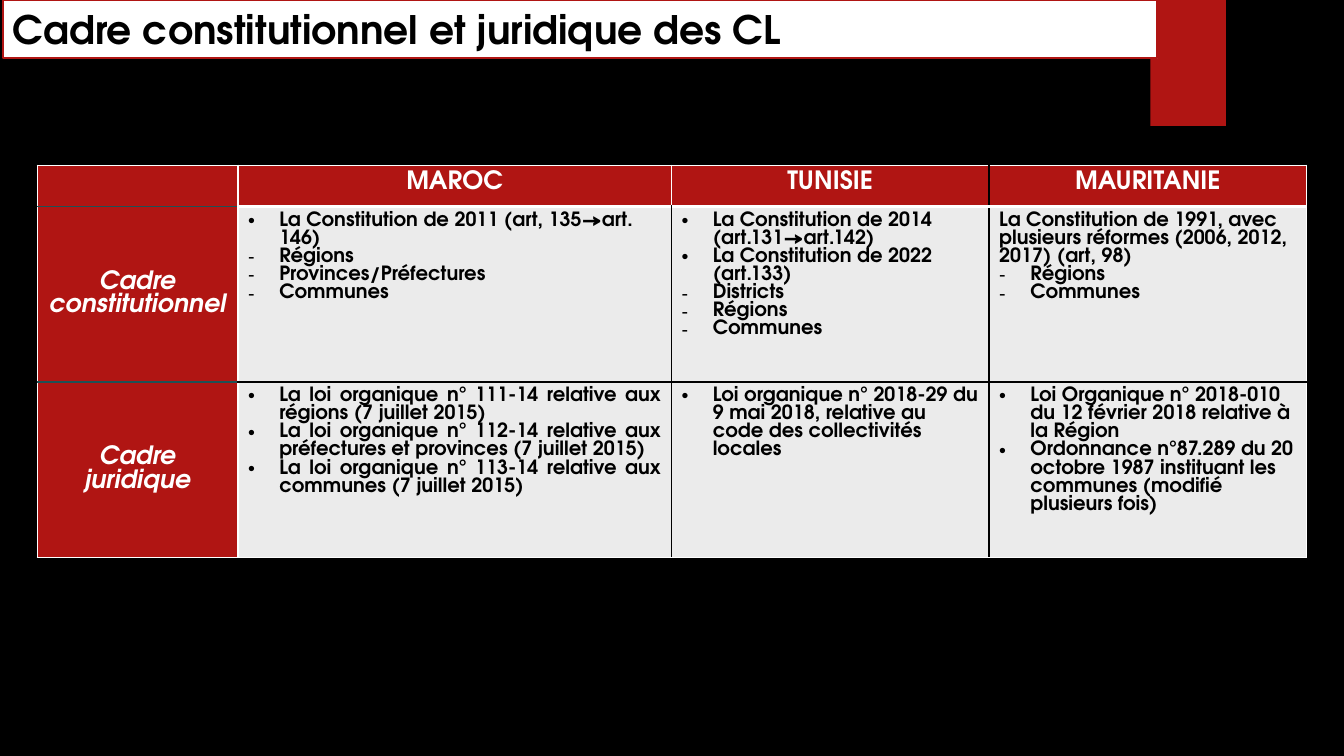
import dataclasses
import typing

import lxml.etree
import pptx
import pptx.dml.color
import pptx.enum.shapes
import pptx.enum.text
import pptx.oxml.ns
import pptx.util

Inches = pptx.util.Inches
Pt = pptx.util.Pt
RGBColor = pptx.dml.color.RGBColor
Align = pptx.enum.text.PP_ALIGN
Anchor = pptx.enum.text.MSO_ANCHOR
qn = pptx.oxml.ns.qn

BLACK = RGBColor(0x00, 0x00, 0x00)
WHITE = RGBColor(0xFF, 0xFF, 0xFF)
RED = RGBColor(0xB0, 0x15, 0x13)
GREY = RGBColor(0xEB, 0xEB, 0xEB)
TEAL = RGBColor(0x1E, 0x51, 0x55)

FONT = "TeX Gyre Adventor"
COLUMN_WIDTHS = (1.99, 4.3, 3.15, 3.15)
ROW_HEIGHTS = (0.41, 1.74, 1.74)


@dataclasses.dataclass(frozen=True)
class Item:
    text: str
    bullet: str = ""
    align: Align | None = None


@dataclasses.dataclass(frozen=True)
class Style:
    fill: RGBColor
    color: RGBColor
    size: float
    italic: bool = False
    anchor: Anchor = Anchor.TOP


@dataclasses.dataclass(frozen=True)
class Edge:
    color: RGBColor
    width: float = 1


class Edges(typing.NamedTuple):
    left: Edge
    right: Edge
    top: Edge
    bottom: Edge


HEADER = Style(RED, WHITE, 18)
ROW_LABEL = Style(RED, WHITE, 18, italic=True, anchor=Anchor.MIDDLE)
BODY = Style(GREY, BLACK, 14)

WHITE_EDGE = Edge(WHITE)
BLACK_EDGE = Edge(BLACK)
TEAL_EDGE = Edge(TEAL)
HEADER_EDGE = Edge(WHITE, 3)


def centred(text: str) -> list[Item]:
    return [Item(text, align=Align.CENTER)]


def dots(*texts: str, align: Align | None = None) -> list[Item]:
    return [Item(text, "•", align) for text in texts]


def dashes(*texts: str) -> list[Item]:
    return [Item(text, "-") for text in texts]


ROWS: list[list[list[Item]]] = [
    [[], centred("MAROC"), centred("TUNISIE"), centred("MAURITANIE")],
    [
        centred("Cadre constitutionnel"),
        dots("La Constitution de 2011 (art, 135→art. 146)")
        + dashes("Régions", "Provinces/Préfectures", "Communes"),
        dots("La Constitution de 2014 (art.131→art.142)",
             "La Constitution de 2022 (art.133)")
        + dashes("Districts", "Régions", "Communes"),
        [Item("La Constitution de 1991, avec plusieurs réformes (2006, 2012, 2017) (art, 98)")]
        + dashes("Régions", "Communes"),
    ],
    [
        centred("Cadre juridique"),
        dots("La loi organique n° 111-14 relative aux régions (7 juillet 2015)",
             "La loi organique n° 112-14 relative aux préfectures et provinces (7 juillet 2015)",
             "La loi organique n° 113-14 relative aux communes (7 juillet 2015)",
             align=Align.JUSTIFY),
        dots("Loi organique n° 2018-29 du 9 mai 2018, relative au code des collectivités locales"),
        dots("Loi Organique n° 2018-010 du 12 février 2018 relative à la Région",
             "Ordonnance n°87.289 du 20 octobre 1987 instituant les communes (modifié plusieurs fois)"),
    ],
]


def add_span(para, text: str, size: float, color: RGBColor, italic: bool = False) -> None:
    span = para.add_run()
    span.text = text
    span.font.name = FONT
    span.font.size = Pt(size)
    span.font.bold = True
    span.font.italic = italic
    span.font.color.rgb = color


def add_bullet(para, mark: str) -> None:
    properties = para._p.get_or_add_pPr()
    properties.set("marL", str(Inches(0.31)))
    properties.set("indent", str(-Inches(0.31)))
    lxml.etree.SubElement(properties, qn("a:buFont"), typeface="Arial")
    lxml.etree.SubElement(properties, qn("a:buChar"), char=mark)


def cell_style(row: int, column: int) -> Style:
    if row == 0:
        return HEADER
    return ROW_LABEL if column == 0 else BODY


def cell_edges(row: int, column: int) -> Edges:
    """Neighbouring cells share an edge; only the header draws its lower one thick."""
    def upright(position: int) -> Edge:
        outer = position in (0, 1, len(COLUMN_WIDTHS))
        return WHITE_EDGE if outer or (row == 0 and position == 2) else BLACK_EDGE

    def level(position: int) -> Edge:
        if position in (0, len(ROW_HEIGHTS)):
            return WHITE_EDGE
        if column == 0:
            return TEAL_EDGE
        if position == 1:
            return HEADER_EDGE if row == 0 else WHITE_EDGE
        return BLACK_EDGE

    return Edges(upright(column), upright(column + 1), level(row), level(row + 1))


def draw_edges(cell, edges: Edges) -> None:
    properties = cell._tc.get_or_add_tcPr()
    for place, (tag, edge) in enumerate(zip(("a:lnL", "a:lnR", "a:lnT", "a:lnB"), edges)):
        line = lxml.etree.Element(qn(tag), w=str(Pt(edge.width)))
        fill = lxml.etree.SubElement(line, qn("a:solidFill"))
        lxml.etree.SubElement(fill, qn("a:srgbClr"), val=str(edge.color))
        properties.insert(place, line)


def fill_cell(cell, items: list[Item], style: Style) -> None:
    cell.fill.solid()
    cell.fill.fore_color.rgb = style.fill
    cell.vertical_anchor = style.anchor
    frame = cell.text_frame
    for index, item in enumerate(items):
        para = frame.add_paragraph() if index else frame.paragraphs[0]
        if item.align is not None:
            para.alignment = item.align
        if item.bullet:
            add_bullet(para, item.bullet)
        add_span(para, item.text, style.size, style.color, style.italic)


def add_comparison(page) -> None:
    table = page.shapes.add_table(
        len(ROW_HEIGHTS), len(COLUMN_WIDTHS), Inches(0.37), Inches(1.64),
        Inches(sum(COLUMN_WIDTHS)), Inches(sum(ROW_HEIGHTS))).table
    for column, width in zip(table.columns, COLUMN_WIDTHS):
        column.width = Inches(width)
    for row, height in zip(table.rows, ROW_HEIGHTS):
        row.height = Inches(height)
    for row, contents in enumerate(ROWS):
        for column, items in enumerate(contents):
            cell = table.cell(row, column)
            fill_cell(cell, items, cell_style(row, column))
            draw_edges(cell, cell_edges(row, column))


def add_block(page, left: float, top: float, width: float, height: float, fill: RGBColor):
    block = page.shapes.add_shape(
        pptx.enum.shapes.MSO_SHAPE.RECTANGLE,
        Inches(left), Inches(top), Inches(width), Inches(height))
    block.shadow.inherit = False
    block.fill.solid()
    block.fill.fore_color.rgb = fill
    block.line.fill.background()
    return block


def add_title(page, text: str) -> None:
    box = add_block(page, 0.03, 0, 11.45, 0.58, WHITE)
    box.line.color.rgb = RED
    box.line.width = Pt(1.5)
    frame = box.text_frame
    frame.word_wrap = True
    frame.vertical_anchor = Anchor.TOP
    para = frame.paragraphs[0]
    para.alignment = Align.LEFT
    add_span(para, text, 28, BLACK)


def main() -> None:
    deck = pptx.Presentation()
    deck.slide_width, deck.slide_height = Inches(13.33), Inches(7.5)
    page = deck.slides.add_slide(deck.slide_layouts[6])
    page.background.fill.solid()
    page.background.fill.fore_color.rgb = BLACK
    add_block(page, 11.41, 0, 0.75, 1.25, RED)
    add_comparison(page)
    add_title(page, "Cadre constitutionnel et juridique des CL")
    deck.save("out.pptx")


if __name__ == "__main__":
    main()
